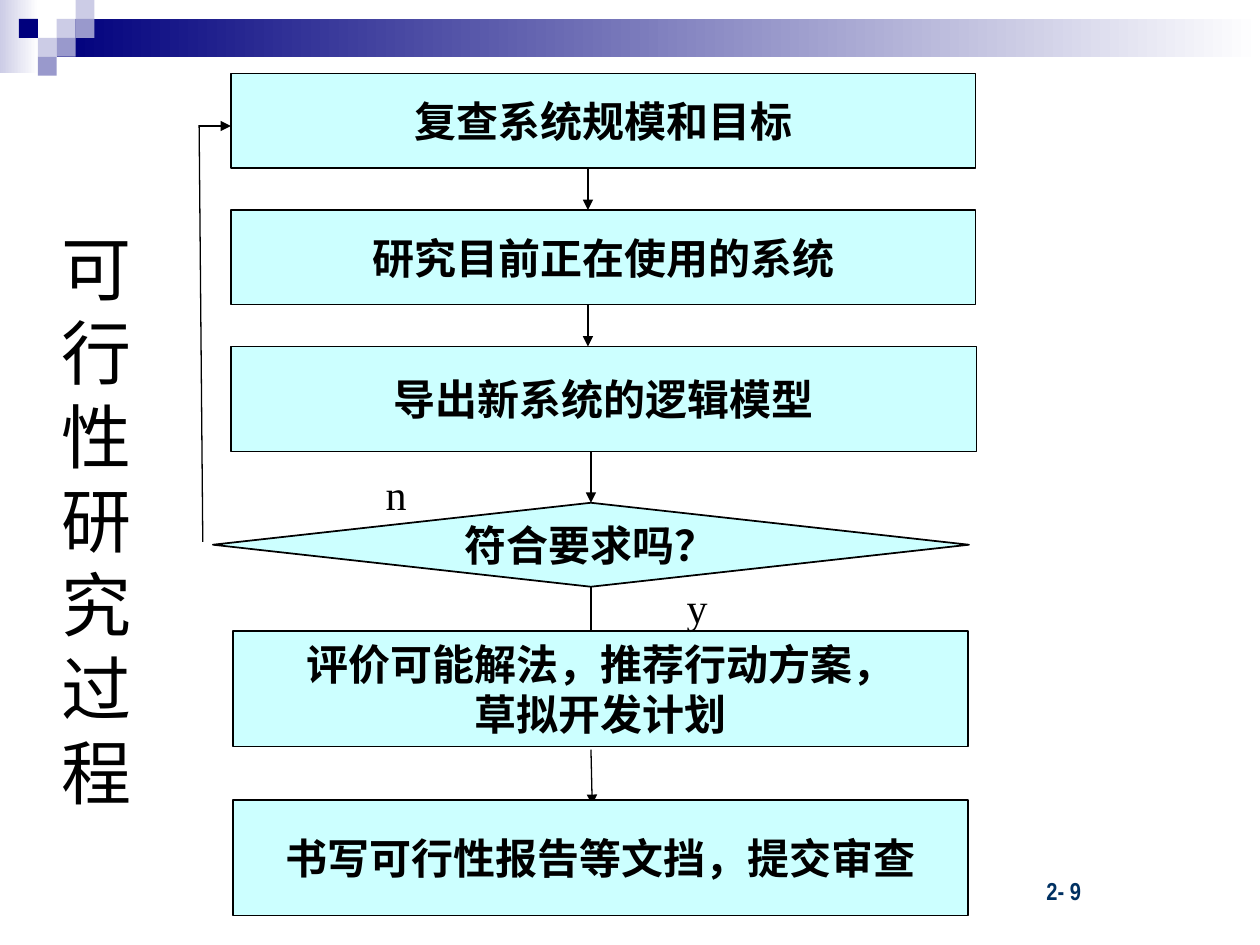
from lxml import etree
from pptx import Presentation
from pptx.dml import color
from pptx.enum import shapes, text
from pptx.oxml import ns
from pptx.util import Pt

SERIF = "Times New Roman"
BLACK = "000000"


def rgb(code):
    return color.RGBColor.from_string(code)


def write(frame, lines, size, font, ink=BLACK, bold=False,
          align=text.PP_ALIGN.CENTER, anchor=text.MSO_ANCHOR.MIDDLE, wrap=False):
    frame.word_wrap = wrap
    frame.auto_size = text.MSO_AUTO_SIZE.NONE
    frame.vertical_anchor = anchor
    for index, line in enumerate(lines):
        paragraph = frame.add_paragraph() if index else frame.paragraphs[0]
        paragraph.alignment = align
        run = paragraph.add_run()
        run.text = line
        run.font.size = Pt(size)
        run.font.name = font
        run.font.bold = bold
        run.font.color.rgb = rgb(ink)


def add_block(slide, area, fill, kind=shapes.MSO_SHAPE.RECTANGLE):
    block = slide.shapes.add_shape(kind, *map(Pt, area))
    block.shadow.inherit = False
    block.line.fill.background()
    if isinstance(fill, str):
        block.fill.solid()
        block.fill.fore_color.rgb = rgb(fill)
    else:
        block.fill.gradient()
        block.fill.gradient_angle = 0
        for stop, shade in zip(block.fill.gradient_stops, fill):
            stop.color.rgb = rgb(shade)
    return block


def add_step(slide, area, lines, kind=shapes.MSO_SHAPE.RECTANGLE):
    step = add_block(slide, area, "CCFFFF", kind)
    step.line.color.rgb = rgb(BLACK)
    step.line.width = Pt(1)
    write(step.text_frame, lines, 24, SERIF, bold=True)
    return step


def add_flow(slide, start, end, arrow=True):
    flow = slide.shapes.add_connector(
        shapes.MSO_CONNECTOR.STRAIGHT, *map(Pt, start + end))
    flow.line.color.rgb = rgb(BLACK)
    flow.line.width = Pt(0.75)
    if arrow:
        etree.SubElement(flow.line._get_or_add_ln(), ns.qn("a:tailEnd"), type="triangle")
    etree.SubElement(flow._element.spPr, ns.qn("a:effectLst"))
    return flow


def add_label(slide, area, words):
    label = slide.shapes.add_textbox(*map(Pt, area))
    write(label.text_frame, [words], 24, SERIF)


def add_banner(slide):
    add_block(slide, (0, 0, 22, 42), ("CCCCE6", "FFFFFF"))
    add_block(slide, (32.4, 10.8, 687.6, 21.6), ("00007D", "FFFFFF"))
    side = 10.8
    tiles = [(3, 1, "CCCCE6"), (4, 0, "CCCCE6"), (4, 1, "9999CC"),
             (2, 2, "CCCCE6"), (1, 1, "00007D"), (3, 2, "9999CC"), (2, 3, "9999CC")]
    for column, row, shade in tiles:
        add_block(slide, (column * side, row * side, side, side), shade)


def add_page_number(slide):
    number = slide.shapes.add_textbox(Pt(524), Pt(497), Pt(150), Pt(24))
    number.text_frame.margin_left = Pt(74)
    write(number.text_frame, ["2- 9"], 14, "Arial Narrow", "003162", True,
          text.PP_ALIGN.LEFT, text.MSO_ANCHOR.TOP, True)


def set_title(slide, words):
    title = slide.shapes.title
    title.left, title.top, title.width, title.height = map(Pt, (19.4, 54, 72, 486))
    write(title.text_frame, [words], 40, "Arial", wrap=True)


def add_process(slide):
    add_step(slide, (132, 42, 425.5, 54), ["复查系统规模和目标"])
    add_flow(slide, (336, 96), (336, 120))
    add_step(slide, (132, 120, 425.5, 54), ["研究目前正在使用的系统"])
    add_flow(slide, (336, 174), (336, 198))
    add_step(slide, (132, 198, 426, 60), ["导出新系统的逻辑模型"])
    to_decision = add_flow(slide, (337.7, 258.5), (337.7, 287.3))
    add_flow(slide, (337.7, 332.6), (337.7, 368))
    add_step(slide, (133.2, 360.7, 420, 66),
             ["评价可能解法，推荐行动方案，", "草拟开发计划"])
    add_flow(slide, (337.7, 428.4), (338.4, 460))
    add_step(slide, (133.2, 457.2, 420, 66), ["书写可行性报告等文挡，提交审查"])
    decision = add_step(slide, (121.7, 287.3, 432, 48), ["符合要求吗？"],
                        shapes.MSO_SHAPE.FLOWCHART_DECISION)
    to_decision.end_connect(decision, 0)
    add_flow(slide, (115.9, 309.6), (113.8, 71.5), arrow=False)
    add_flow(slide, (113.8, 72), (132, 72))
    add_label(slide, (184.3, 275.8, 84, 12), "n")
    add_label(slide, (377.3, 337.7, 42, 18), "y")


def main():
    deck = Presentation()
    deck.slide_width, deck.slide_height = Pt(720), Pt(540)
    slide = deck.slides.add_slide(deck.slide_layouts[5])
    add_banner(slide)
    add_page_number(slide)
    set_title(slide, "可行性研究过程")
    add_process(slide)
    deck.save("out.pptx")


if __name__ == "__main__":
    main()
